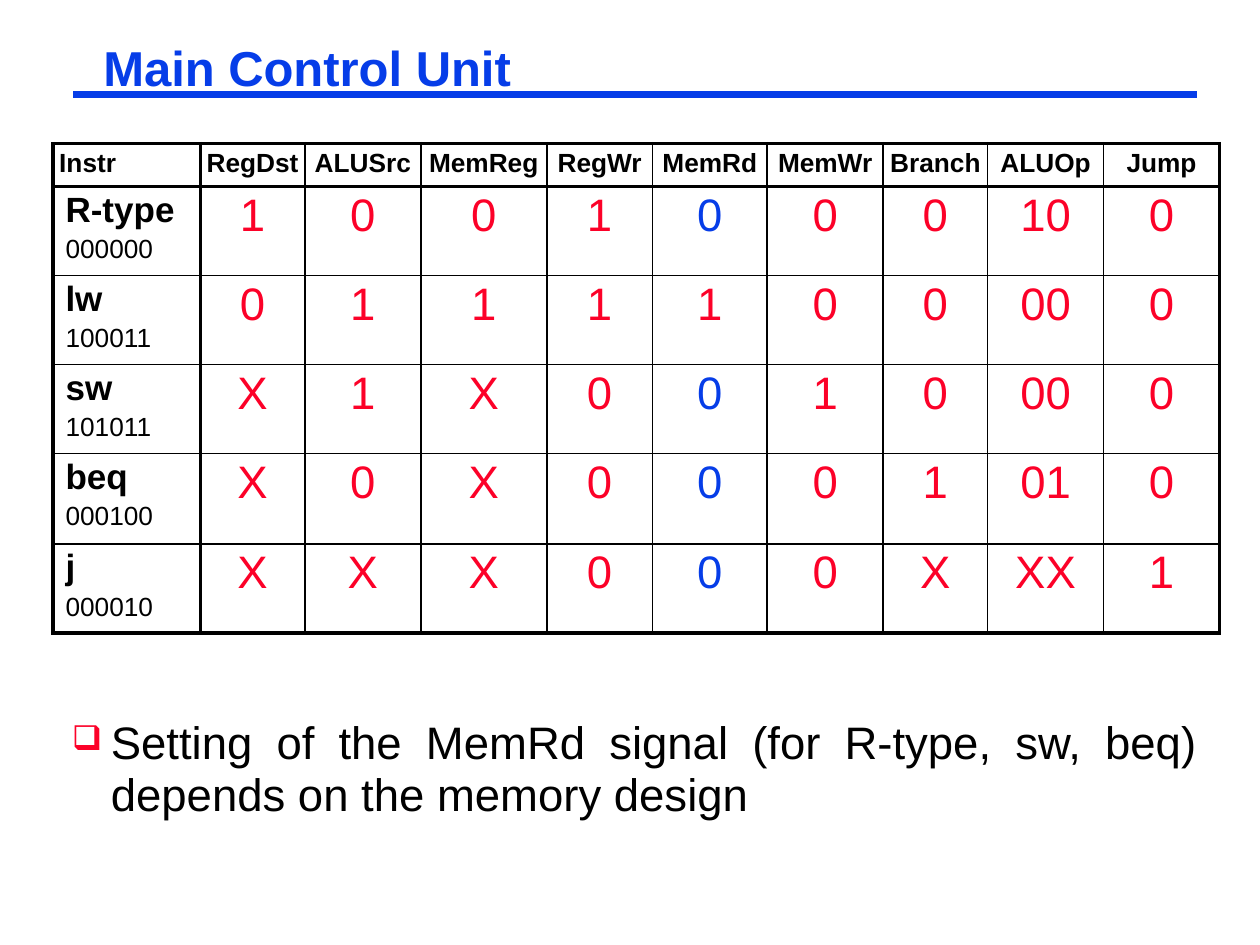
from lxml import etree
from pptx import Presentation
from pptx.dml.color import RGBColor
from pptx.enum.shapes import MSO_CONNECTOR
from pptx.enum.text import MSO_AUTO_SIZE, PP_ALIGN
from pptx.oxml.ns import qn
from pptx.util import Inches, Pt

LEFT, CENTER, JUSTIFY = PP_ALIGN.LEFT, PP_ALIGN.CENTER, PP_ALIGN.JUSTIFY
GROW = MSO_AUTO_SIZE.SHAPE_TO_FIT_TEXT
STRAIGHT = MSO_CONNECTOR.STRAIGHT

COLORS = {"blue": "063DE8", "red": "FC0128", "black": "000000"}
THIN, THICK = Pt(1), Pt(2.25)

SIGNALS = ["RegDst", "ALUSrc", "MemReg", "RegWr", "MemRd",
           "MemWr", "Branch", "ALUOp", "Jump"]
INSTRUCTIONS = [
    ("R-type", "000000", "1 0 0 1 0 0 0 10 0"),
    ("lw", "100011", "0 1 1 1 1 0 0 00 0"),
    ("sw", "101011", "X 1 X 0 0 1 0 00 0"),
    ("beq", "000100", "X 0 X 0 0 0 1 01 0"),
    ("j", "000010", "X X X 0 0 0 X XX 1"),
]
COLUMN_WIDTHS = [1.17, 0.83, 0.92, 1, 0.84, 0.91, 0.92, 0.83, 0.92, 0.92]
ROW_HEIGHTS = [0.27, 0.67, 0.58, 0.58, 0.72, 0.58]


def write(paragraph, text, size, color, bold=False, align=LEFT, spacing=0.95, before=25):
    """Add one run; the space before is a percentage of the line."""
    paragraph.alignment = align
    paragraph.line_spacing = spacing
    if before:
        space = etree.SubElement(paragraph._p.get_or_add_pPr(), qn("a:spcBef"))
        etree.SubElement(space, qn("a:spcPct"), val=str(before * 1000))
    run = paragraph.add_run()
    run.text = text
    run.font.name = "Arial"
    run.font.size = Pt(size)
    run.font.bold = bold
    run.font.color.rgb = RGBColor.from_string(COLORS[color])


def add_text_frame(left, top, width, height):
    box = slide.shapes.add_textbox(Inches(left), Inches(top), Inches(width), Inches(height))
    frame = box.text_frame
    frame.word_wrap = True
    frame.auto_size = GROW
    frame.margin_left = frame.margin_right = Inches(0.07)
    frame.margin_top = frame.margin_bottom = Inches(0.03)
    return frame


prs = Presentation()
prs.slide_width, prs.slide_height = Inches(10), Inches(7.5)
slide = prs.slides.add_slide(prs.slide_layouts[6])

# Title and its rule
rule = slide.shapes.add_connector(STRAIGHT, Inches(0.58), Inches(0.75), Inches(9.5), Inches(0.75))
rule.line.color.rgb = RGBColor.from_string(COLORS["blue"])
rule.line.width = Pt(4.5)
etree.SubElement(rule._element.spPr, qn("a:effectLst"))

title = add_text_frame(0.75, 0.33, 8.03, 0.46)
write(title.paragraphs[0], "Main Control Unit", 28, "blue", True, spacing=0.87, before=0)

# Control signal table
last_row, last_col = len(INSTRUCTIONS), len(SIGNALS)
table_frame = slide.shapes.add_table(last_row + 1, last_col + 1, Inches(0.42), Inches(1.14),
                                     Inches(9.25), Inches(3.92))
control = table_frame.table
control.first_row = control.horz_banding = False
for column, width in zip(control.columns, COLUMN_WIDTHS):
    column.width = Inches(width)
for row, height in zip(control.rows, ROW_HEIGHTS):
    row.height = Inches(height)
table_frame.height = Inches(3.92)

# Header row
for col, heading in enumerate(["Instr"] + SIGNALS):
    cell = control.cell(0, col)
    cell.margin_left = cell.margin_right = Inches(0.05)
    write(cell.text_frame.paragraphs[0], heading, 15, "black", True, CENTER if col else LEFT)

# Instruction rows: name over opcode, then the signal values
for row, (name, opcode, values) in enumerate(INSTRUCTIONS, start=1):
    label = control.cell(row, 0).text_frame
    write(label.paragraphs[0], name, 20, "black", True)
    write(label.add_paragraph(), opcode, 15, "black")
    for col, (signal, value) in enumerate(zip(SIGNALS, values.split()), start=1):
        memory_choice = signal == "MemRd" and name != "lw"
        write(control.cell(row, col).text_frame.paragraphs[0], value, 26,
              "blue" if memory_choice else "red", align=CENTER)

# Borders: thick around the table, the header row and the first column
for row in range(last_row + 1):
    for col in range(last_col + 1):
        cell = control.cell(row, col)
        properties = cell._tc.get_or_add_tcPr()
        thick_sides = {"lnL": col <= 1, "lnR": col in (0, last_col),
                       "lnT": row <= 1, "lnB": row in (0, last_row)}
        for side, thick in thick_sides.items():
            border = etree.SubElement(properties, qn(f"a:{side}"), w=str(THICK if thick else THIN))
            fill = etree.SubElement(border, qn("a:solidFill"))
            etree.SubElement(fill, qn("a:srgbClr"), val=COLORS["black"])
        cell.fill.background()

# Bulleted remark
remark = add_text_frame(0.5, 5.67, 9.08, 0.88).paragraphs[0]
write(remark, "Setting of the MemRd signal (for R-type, sw, beq) depends on the memory design",
      26, "black", align=JUSTIFY, before=20)
bullet = remark._p.get_or_add_pPr()
bullet.set("marL", str(Inches(0.31)))
bullet.set("indent", str(-Inches(0.31)))
bullet_color = etree.SubElement(bullet, qn("a:buClr"))
etree.SubElement(bullet_color, qn("a:srgbClr"), val=COLORS["red"])
etree.SubElement(bullet, qn("a:buSzPct"), val="75000")
etree.SubElement(bullet, qn("a:buChar"), char="❑")

prs.save("out.pptx")
